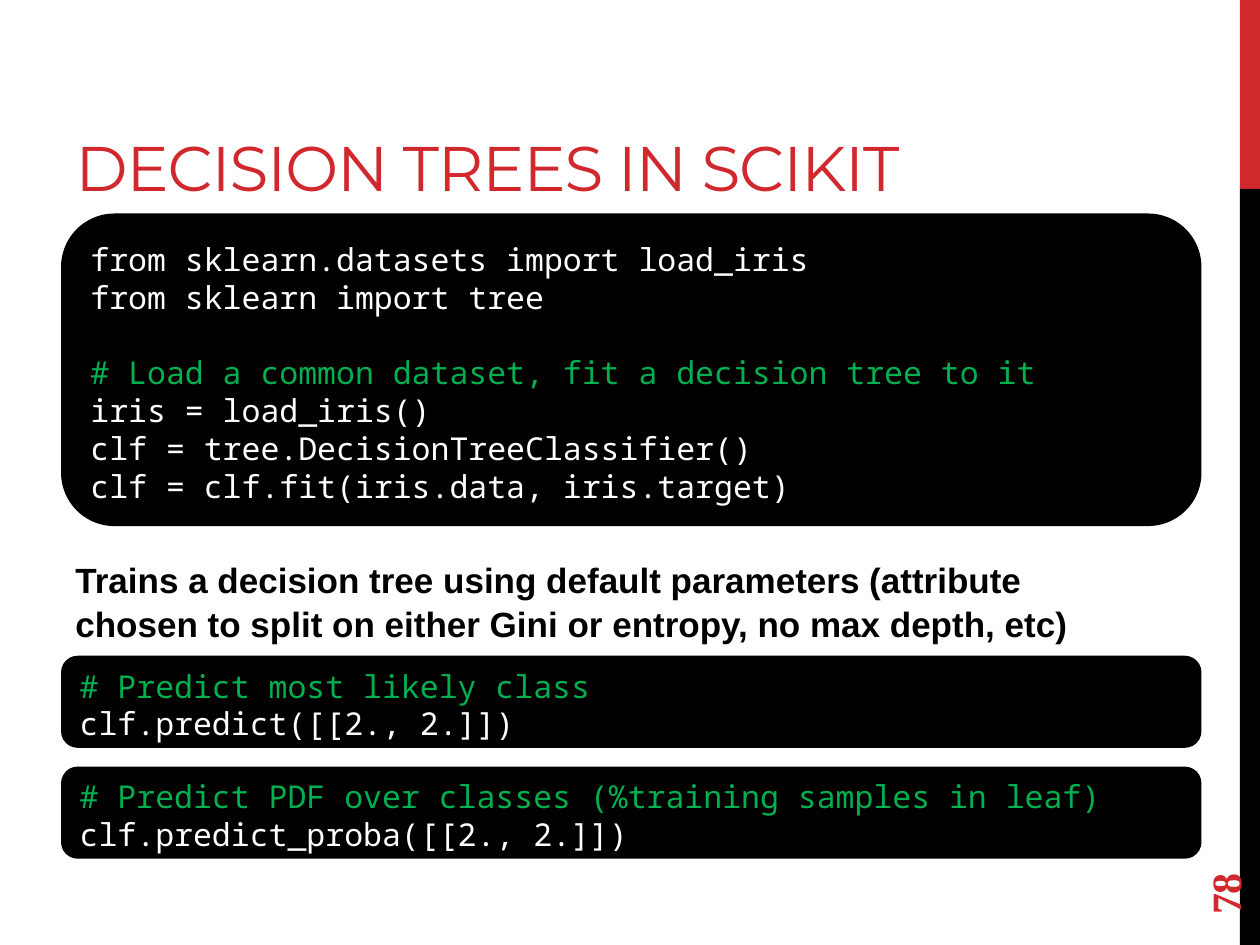
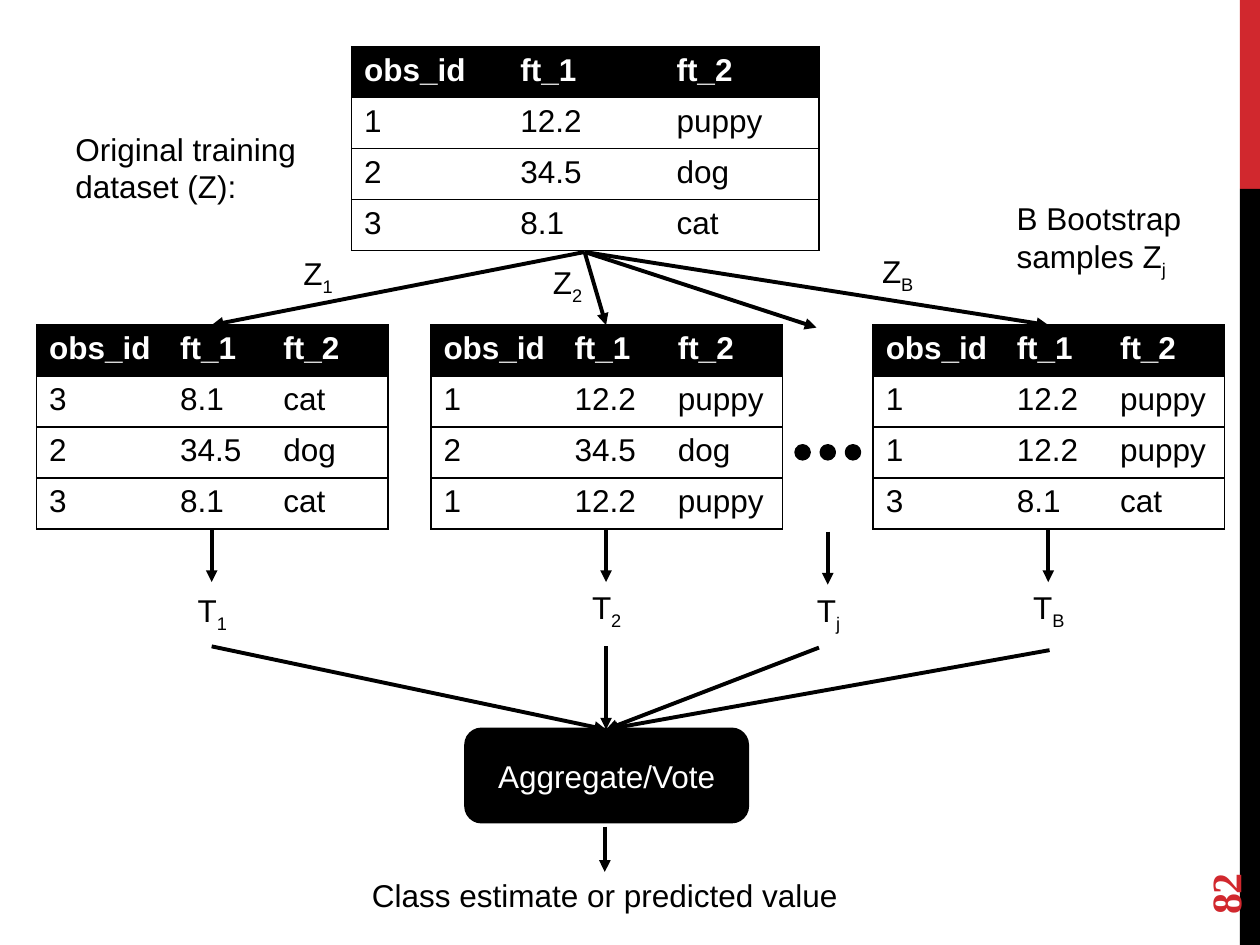
from lxml.etree import SubElement
from pptx import Presentation
from pptx.dml.color import RGBColor
from pptx.enum.shapes import MSO_CONNECTOR, MSO_SHAPE
from pptx.enum.text import MSO_ANCHOR, PP_ALIGN
from pptx.oxml.ns import qn
from pptx.util import Emu, Pt

SCALE = 9144  # EMU per px, 100 px to the inch
COLORS = {"red": "D1282E", "black": "000000", "white": "FFFFFF", "green": "00B050"}
SANS, MONO, SERIF, HEAD = "Arial", "Noto Sans Mono", "Times New Roman", "Montserrat"
CODE_LINE = Pt(21.6)
HEADER = ["obs_id", "ft_1", "ft_2"]
FEATURES = {1: ("12.2", "puppy"), 2: ("34.5", "dog"), 3: ("8.1", "cat")}


def px(n):
    return Emu(n * SCALE)


def color(name):
    return RGBColor.from_string(COLORS[name])


def add_run(para, text, size=18, face=SANS, ink="black", bold=False):
    run = para.add_run()
    run.text = text
    font = run.font
    font.size, font.name, font.bold = Pt(size), face, bold
    font.color.rgb = color(ink)
    return run


def add_box(slide, x, y, w, h, align=PP_ALIGN.LEFT):
    """Add an empty wrapped text box; return it with its first paragraph."""
    box = slide.shapes.add_textbox(px(x), px(y), px(w), px(h))
    box.text_frame.word_wrap = True
    para = box.text_frame.paragraphs[0]
    para.alignment = align
    return box, para


def add_label(slide, x, y, w, h, text, sub="", align=PP_ALIGN.CENTER):
    """Add a text label with an optional subscript."""
    para = add_box(slide, x, y, w, h, align)[1]
    add_run(para, text)
    if sub:
        run = add_run(para, sub)
        run.font._element.set("baseline", "-25000")


def add_solid(slide, kind, x, y, w, h, fill="black", line=True):
    shape = slide.shapes.add_shape(kind, px(x), px(y), px(w), px(h))
    shape.shadow.inherit = False
    shape.fill.solid()
    shape.fill.fore_color.rgb = color(fill)
    if line:
        shape.line.color.rgb = color(fill)
        shape.line.width = Pt(2.25)
    else:
        shape.line.fill.background()
    return shape


def add_bands(master, slide):
    """Put the side bands on the master, so that every slide shows them."""
    for i, (y, h, fill) in enumerate([(0, 150, "red"), (150, 600, "black")]):
        band = add_solid(slide, MSO_SHAPE.RECTANGLE, 984, y, 16, h, fill, False)
        band.element.nvSpPr.cNvPr.id = 20 + i
        master.shapes.element.append(band.element)


def add_number(slide, text):
    box, para = add_box(slide, 900, 644, 144, 40)
    box.rotation = 270
    box.text_frame.vertical_anchor = MSO_ANCHOR.MIDDLE
    add_run(para, text, 24, SERIF, "red", True)


def set_title(slide, text):
    title = slide.shapes.title
    title.left, title.top, title.width, title.height = map(px, (50, 17, 833, 150))
    title.text_frame.vertical_anchor = MSO_ANCHOR.BOTTOM
    para = title.text_frame.paragraphs[0]
    para.alignment = PP_ALIGN.LEFT
    run = add_run(para, text, 36, HEAD, "red")
    run.font._element.set("spc", "-60")


def add_code(slide, y, h, blocks):
    """Add a code panel; blocks are lists of lines with a blank line between."""
    panel = add_solid(slide, MSO_SHAPE.ROUNDED_RECTANGLE, 50, y, 902, h)
    frame = panel.text_frame
    frame.word_wrap = True
    frame.vertical_anchor = MSO_ANCHOR.MIDDLE
    frame.margin_top = px(9)
    para = None
    for block in blocks:
        for i, line in enumerate(block):
            gap = para is not None and i == 0
            para = frame.paragraphs[0] if para is None else frame.add_paragraph()
            para.alignment = PP_ALIGN.LEFT
            para.line_spacing = CODE_LINE
            if gap:
                para.space_before = CODE_LINE
            add_run(para, line, 18, MONO, "green" if line.startswith("#") else "white")


def add_arrow(slide, start, end):
    arrow = slide.shapes.add_connector(
        MSO_CONNECTOR.STRAIGHT, *map(px, start), *map(px, end))
    arrow.line.color.rgb = color("black")
    arrow.line.width = Pt(2.25)
    SubElement(arrow.line._get_or_add_ln(), qn("a:tailEnd"), type="triangle")
    SubElement(arrow.element.spPr, qn("a:effectLst"))


def set_border(cell, col, last):
    """Rule a cell above and below, and at the sides only on the table's rim."""
    drawn = {"lnL": col == 0, "lnR": col == last, "lnT": True, "lnB": True}
    for tag, shown in drawn.items():
        edge = SubElement(cell._tc.get_or_add_tcPr(), qn("a:" + tag), w=str(Pt(1)))
        if shown:
            fill = SubElement(edge, qn("a:solidFill"))
            SubElement(fill, qn("a:srgbClr"), val=COLORS["black"])
        else:
            SubElement(edge, qn("a:noFill"))


def add_sample(slide, x, y, widths, ids):
    """Add a table of the observations with these ids."""
    rows = [HEADER] + [[str(i), *FEATURES[i]] for i in ids]
    frame = slide.shapes.add_table(
        len(rows), len(widths), px(x), px(y), px(sum(widths)), px(162))
    table = frame.table
    table.horz_banding = False
    for col, width in zip(table.columns, widths):
        col.width = px(width)
    for r, row in enumerate(rows):
        table.rows[r].height = px(162) // len(rows)
        for c, text in enumerate(row):
            cell = table.cell(r, c)
            set_border(cell, c, len(row) - 1)
            head = r == 0
            cell.fill.solid()
            cell.fill.fore_color.rgb = color("black" if head else "white")
            add_run(cell.text_frame.paragraphs[0], text,
                    ink="white" if head else "black", bold=head)


def build_code(slide):
    set_title(slide, "DECISION TREES IN SCIKIT")
    para = add_box(slide, 50, 437, 833, 82)[1]
    para.line_spacing = 1.04
    add_run(para, "Trains a decision tree using default parameters (attribute "
            "chosen to split on either Gini or entropy, no max depth, etc)",
            20, bold=True)
    add_code(slide, 171, 245, [
        ["from sklearn.datasets import load_iris", "from sklearn import tree"],
        ["# Load a common dataset, fit a decision tree to it",
         "iris = load_iris()",
         "clf = tree.DecisionTreeClassifier()",
         "clf = clf.fit(iris.data, iris.target)"]])
    add_code(slide, 522, 70, [
        ["# Predict most likely class", "clf.predict([[2., 2.]])"]])
    add_code(slide, 610, 70, [
        ["# Predict PDF over classes (%training samples in leaf)",
         "clf.predict_proba([[2., 2.]])"]])


def build_bagging(slide):
    root, vote = (464, 200), (481, 579)
    add_sample(slide, 279, 37, (124, 124, 123), (1, 2, 3))
    add_label(slide, 50, 98, 209, 71, "Original training dataset (Z):",
              align=PP_ALIGN.LEFT)
    add_label(slide, 797, 153, 200, 71, "B Bootstrap samples Z", "j", PP_ALIGN.LEFT)

    for x, ids in [(29, (3, 2, 3)), (342, (1, 2, 1)), (693, (1, 1, 3))]:
        add_sample(slide, x, 258, (104, 82, 93), ids)
    for end in [(168, 258), (481, 258), (832, 258), (648, 260)]:
        add_arrow(slide, root, end)
    for x, y, sub in [(224, 197, "1"), (422, 204, "2"), (684, 195, "B")]:
        add_label(slide, x, y, 57, 40, "Z", sub)
    for i in range(3):
        add_solid(slide, MSO_SHAPE.OVAL, 632 + 20 * i, 354, 10, 10)

    for x, top, y, sub in [(168, 420, 464, "1"), (481, 420, 462, "2"),
                           (657, 422, 464, "j"), (832, 420, 462, "B")]:
        add_arrow(slide, (x, top), (x, top + 42))
        add_label(slide, x - 42, y, 85, 40, "T", sub)
    for start in [(168, 513), (481, 513), (650, 514), (833, 516)]:
        add_arrow(slide, start, vote)

    box = add_solid(slide, MSO_SHAPE.ROUNDED_RECTANGLE, 370, 579, 223, 73)
    box.text_frame.vertical_anchor = MSO_ANCHOR.MIDDLE
    para = box.text_frame.paragraphs[0]
    para.alignment = PP_ALIGN.CENTER
    add_run(para, "Aggregate/Vote", ink="white")
    add_arrow(slide, (480, 656), (480, 692))
    add_label(slide, 256, 690, 448, 40, "Class estimate or predicted value")


def main():
    prs = Presentation()
    prs.slide_width, prs.slide_height = px(1000), px(750)
    title_only, blank = prs.slide_layouts[5], prs.slide_layouts[6]
    pages = [(title_only, build_code, "78"), (blank, build_bagging, "82")]
    for i, (layout, build, number) in enumerate(pages):
        slide = prs.slides.add_slide(layout)
        if i == 0:
            add_bands(prs.slide_master, slide)
        add_number(slide, number)
        build(slide)
    prs.save("out.pptx")


if __name__ == "__main__":
    main()
